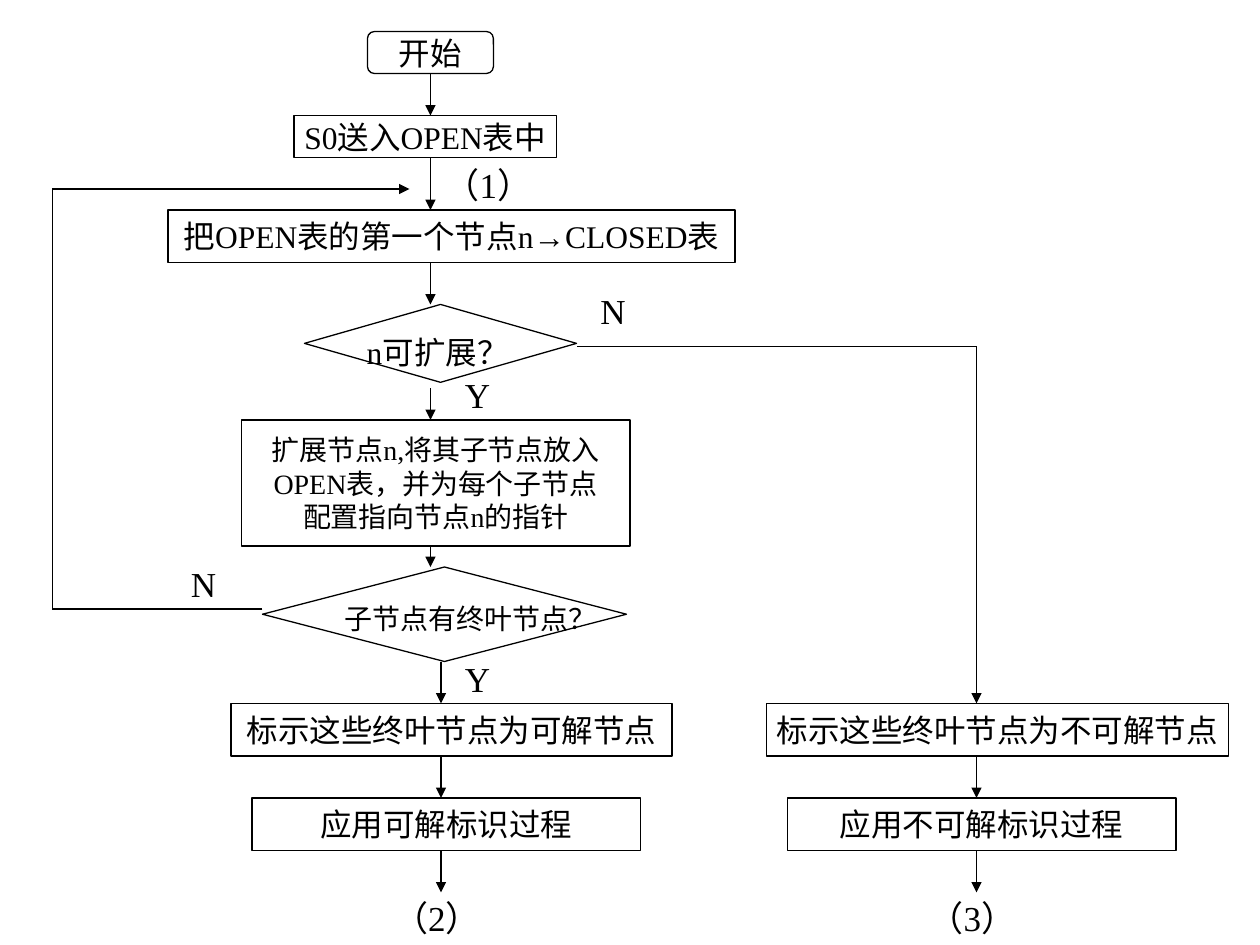
import itertools

import pptx
import pptx.util
import pptx.dml.color
import pptx.enum.shapes
import pptx.enum.text
import pptx.oxml
import pptx.oxml.ns

Pt = pptx.util.Pt
Kind = pptx.enum.shapes.MSO_SHAPE
Align = pptx.enum.text.PP_ALIGN
Anchor = pptx.enum.text.MSO_ANCHOR
Fit = pptx.enum.text.MSO_AUTO_SIZE


class Theme:
    ink = pptx.dml.color.RGBColor(0, 0, 0)
    font, sign = "Times New Roman", "Arial"
    small, body, label = 16, 18, 20
    line = 0.75


# Places are (left, top, width, height). A bar sets off a symbol in the sign font.
START = ("开始", (210, 18, 72, 24))
BOXES = [
    ("S0送入OPEN表中", (168, 66, 150, 24), Theme.body),
    ("把OPEN表的第一个节点n|→|CLOSED表", (96, 120, 324, 30), Theme.body),
    ("扩展节点n,将其子节点放入\nOPEN表，并为每个子节点\n配置指向节点n的指针",
     (138, 240, 222, 72), Theme.small),
    ("标示这些终叶节点为可解节点", (132, 402, 252, 30), Theme.body),
    ("应用可解标识过程", (144, 456, 222, 30), Theme.body),
    ("标示这些终叶节点为不可解节点", (438, 402, 264, 30), Theme.body),
    ("应用不可解标识过程", (450, 456, 222, 30), Theme.body),
]
TESTS = [  # text, diamond, text place, size
    ("n可扩展？", (174, 174, 155.5, 44.5), (202.5, 186.5, 99.5, 29), Theme.body),
    ("子节点有终叶节点？", (150, 324, 208, 54), (190, 340, 158, 26.5), Theme.small),
]
LABELS = [  # text, left, top, width
    ("N", 336, 162, 29), ("N", 102, 318, 29),
    ("Y", 258.5, 210, 29), ("Y", 258.5, 372, 29),
    ("（1）", 247, 90, 74), ("（2）", 217.5, 509, 74), ("（3）", 523.5, 509, 74),
]
LABEL_HIGH = 31.5
STEPS = {  # x of a column: (top, bottom) of each arrow
    246: [(42, 66), (90, 120), (150, 174), (222, 240), (312, 324)],
    252: [(378, 402), (432, 456), (486, 510)],
    558: [(432, 456), (486, 510)],
}
ROUTES = [
    [(330, 198), (558, 198), (558, 402)],
    [(150, 348), (30, 348), (30, 108), (234, 108)],
]


def write(shape, text, *, size, align=Align.LEFT, anchor=Anchor.TOP, fit=Fit.NONE):
    frame = shape.text_frame
    frame.word_wrap = False
    frame.auto_size = fit
    frame.vertical_anchor = anchor
    for i, row in enumerate(text.split("\n")):
        para = frame.add_paragraph() if i else frame.paragraphs[0]
        para.alignment = align
        for j, part in enumerate(row.split("|")):
            run = para.add_run()
            run.text = part
            run.font.name = Theme.sign if j % 2 else Theme.font
            run.font.size = Pt(size)
            run.font.color.rgb = Theme.ink


def draw(shapes, kind, place):
    shape = shapes.add_shape(kind, *map(Pt, place))
    shape.shadow.inherit = False
    shape.fill.background()
    shape.line.color.rgb = Theme.ink
    shape.line.width = Pt(Theme.line)
    return shape


def box(shapes, kind, text, place, size):
    shape = draw(shapes, kind, place)
    write(shape, text, size=size, align=Align.CENTER, anchor=Anchor.MIDDLE)
    return shape


def note(shapes, text, place, size):
    write(shapes.add_textbox(*map(Pt, place)), text, size=size,
          fit=Fit.SHAPE_TO_FIT_TEXT)


def link(shapes, start, end, head=True):
    line = shapes.add_connector(pptx.enum.shapes.MSO_CONNECTOR.STRAIGHT,
                                *map(Pt, start + end))
    line.line.color.rgb = Theme.ink
    line.line.width = Pt(Theme.line)
    if head:
        tip = pptx.oxml.parse_xml(
            f'<a:tailEnd {pptx.oxml.ns.nsdecls("a")} type="triangle"/>')
        line.line._get_or_add_ln().append(tip)
    line._element.spPr.append(pptx.oxml.parse_xml(
        f'<a:effectLst {pptx.oxml.ns.nsdecls("a")}/>'))
    return line


def main():
    deck = pptx.Presentation()
    deck.slide_width, deck.slide_height = Pt(720), Pt(540)
    shapes = deck.slides.add_slide(deck.slide_layouts[6]).shapes

    start = box(shapes, Kind.ROUNDED_RECTANGLE, *START, Theme.body)
    for text, place, size in BOXES:
        box(shapes, Kind.RECTANGLE, text, place, size)
    for text, place, inner, size in TESTS:
        group = shapes.add_group_shape().shapes
        draw(group, Kind.DIAMOND, place)
        note(group, text, inner, size)

    lines = [link(shapes, (x, top), (x, end))
             for x, spans in STEPS.items() for top, end in spans]
    lines[0].begin_connect(start, 2)
    for route in ROUTES:
        for a, b in itertools.pairwise(route):
            link(shapes, a, b, head=b == route[-1])

    for text, left, top, width in LABELS:
        note(shapes, text, (left, top, width, LABEL_HIGH), Theme.label)
    deck.save("out.pptx")


if __name__ == "__main__":
    main()
